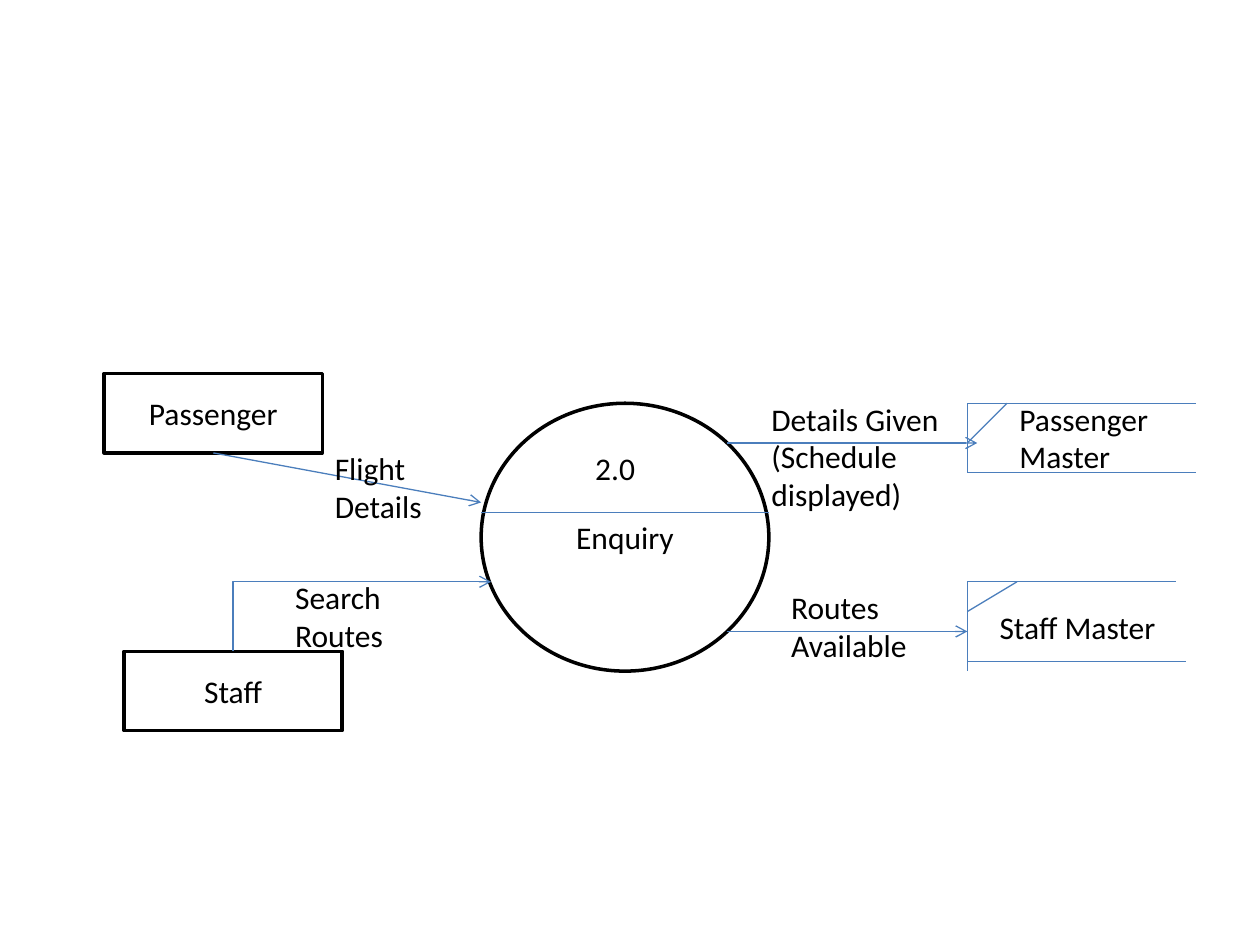
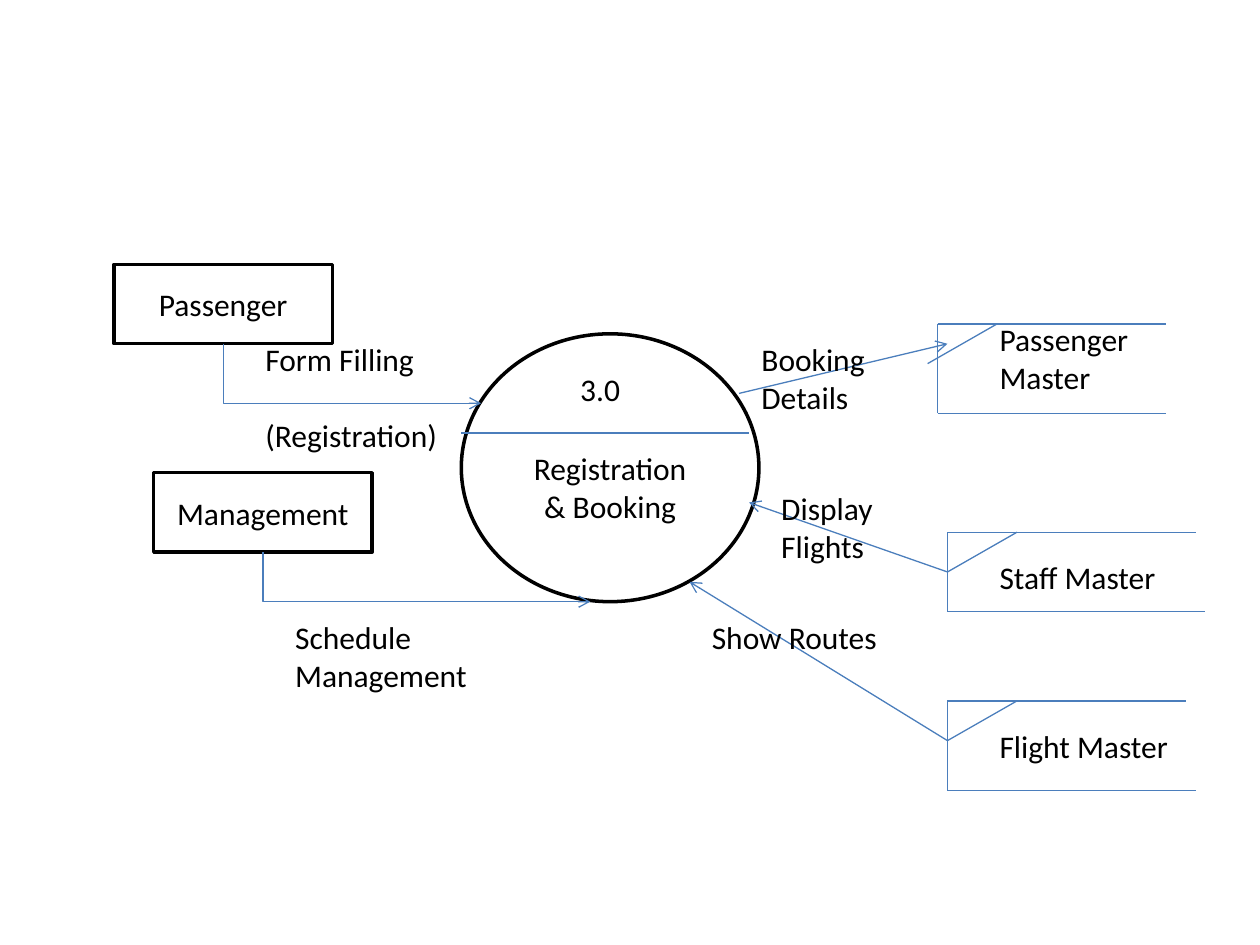
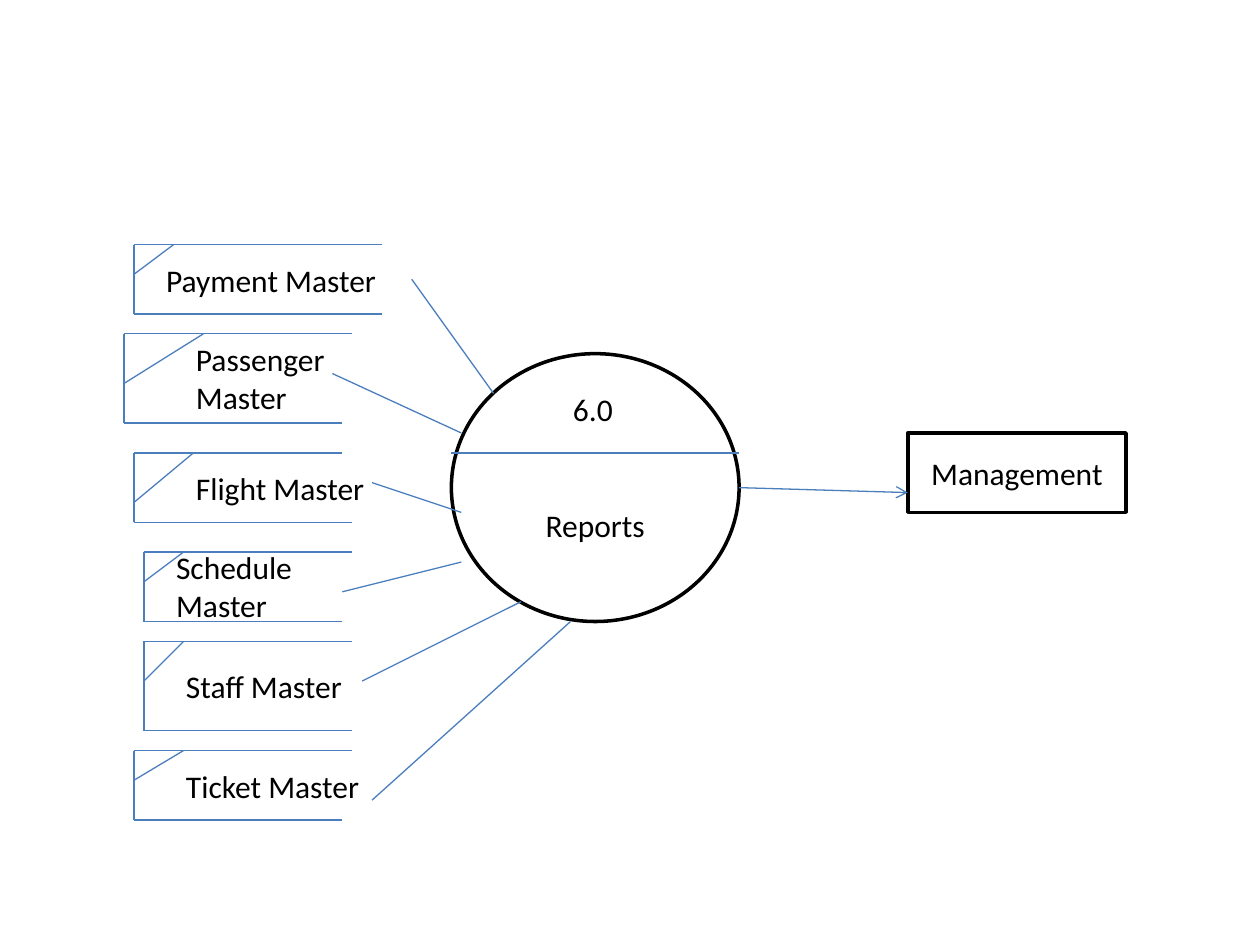
import pptx
import pptx.util
import pptx.dml.color
import pptx.enum.shapes
import pptx.enum.text
import pptx.oxml.ns
from lxml import etree

Cm, Pt = pptx.util.Cm, pptx.util.Pt
Kind = pptx.enum.shapes.MSO_SHAPE
Wire = pptx.enum.shapes.MSO_CONNECTOR
Align = pptx.enum.text.PP_ALIGN
qn = pptx.oxml.ns.qn

HUES = {"ink": "000000", "paper": "FFFFFF", "flow": "4B7EBC"}
FONT, SIZE, ROW, PAD = "Calibri", 18, 0.76, 0.13
SHIFT = 0.03
BOTTOM = 2


def hue(name):
    return pptx.dml.color.RGBColor.from_string(HUES[name])


def down(y):
    return Cm(y + SHIFT)


class Chart:
    def __init__(self):
        self.deck = pptx.Presentation()
        self.deck.slide_width, self.deck.slide_height = Cm(25.4), Cm(19.05)

    def page(self):
        self.items = self.deck.slides.add_slide(self.deck.slide_layouts[6]).shapes

    def fill_in(self, frame, lines, align, gap=0):
        frame.word_wrap = True
        for i, line in enumerate(lines):
            para = frame.paragraphs[0] if i == 0 else frame.add_paragraph()
            para.alignment = align
            if i and gap:
                para.space_before = Pt(gap)
            run = para.add_run()
            run.text = line
            run.font.name, run.font.size = FONT, Pt(SIZE)
            run.font.color.rgb = hue("ink")

    def block(self, kind, x, y, w, h, lines, drop=0):
        shape = self.items.add_shape(kind, Cm(x), down(y), Cm(w), Cm(h))
        shape.shadow.inherit = False
        shape.fill.solid()
        shape.fill.fore_color.rgb = hue("paper")
        shape.line.color.rgb = hue("ink")
        shape.line.width = Pt(2)
        shape.text_frame.vertical_anchor = pptx.enum.text.MSO_ANCHOR.MIDDLE
        shape.text_frame.margin_top = Cm(PAD + drop * ROW)
        self.fill_in(shape.text_frame, lines, Align.CENTER)
        return shape

    def actor(self, x, y, name):
        return self.block(Kind.RECTANGLE, x, y, 4.4, 1.6, [name])

    def process(self, x, y, w, lines, split, drop=0):
        self.block(Kind.OVAL, x, y, w, 5.4, lines, drop)
        self.line((x, split), (x + 5.8, split))

    def text(self, x, y, w, *lines, rows=1, align=Align.LEFT, gap=0):
        box = self.items.add_textbox(Cm(x), down(y), Cm(w), Cm(rows * ROW + 2 * PAD))
        self.fill_in(box.text_frame, lines, align, gap)

    def line(self, start, end, arrow=False, kind=Wire.STRAIGHT):
        wire = self.items.add_connector(
            kind, Cm(start[0]), down(start[1]), Cm(end[0]), down(end[1]))
        wire.line.color.rgb = hue("flow")
        wire.line.width = Pt(0.75)
        props = wire._element.spPr
        if arrow:
            etree.SubElement(props.find(qn("a:ln")), qn("a:tailEnd"), type="arrow")
        etree.SubElement(props, qn("a:effectLst"))
        return wire

    def bend(self, start, end):
        wire = self.line(start, end, True, Wire.ELBOW)
        props = wire._element.spPr
        props.find(qn("a:prstGeom")).set("prst", "bentConnector2")
        wide, high = wire.width, wire.height
        wire.left += (wide - high) // 2
        wire.top += (high - wide) // 2
        wire.width, wire.height = high, wide
        rises = end[1] < start[1]
        frame = props.find(qn("a:xfrm"))
        frame.set("rot", str((90 if rises else 270) * 60000))
        frame.set("flipH", "1")
        frame.set("flipV", "1" if rises else "0")

    def store(self, x, y, h, top, low, tick, label, rows=1, back=0, tail=0):
        self.line((x, y), (x, y + h + tail))
        self.line((x, y), (x + top, y))
        self.line((x, y + h), (x + low, y + h))
        self.line((x - back, y + tick[1]), (x + tick[0], y))
        self.text(*label, rows=rows)


def enquiry(c):
    c.page()
    c.process(9.7, 8.1, 5.8, ["Enquiry"], 10.3)
    c.text(11.3, 8.9, 2.2, "2.0", align=Align.CENTER)
    guest = c.actor(2.1, 7.5, "Passenger")
    c.actor(2.5, 13.1, "Staff")
    c.store(19.5, 11.7, 1.6, 4.2, 4.4, (1, 0.6), (19.9, 12.1, 4, "Staff Master"), tail=0.2)
    c.store(19.5, 8.1, 1.4, 4.6, 4.6, (0.8, 0.8), (20.3, 7.9, 4.4, "Passenger Master"), 2)
    c.bend((4.7, 13.1), (9.9, 11.7))
    c.line((4.3, 9.1), (9.7, 10.1), True).begin_connect(guest, BOTTOM)
    c.line((14.65, 8.9), (19.7, 8.9), True)
    c.line((14.65, 12.7), (19.5, 12.7), True)
    c.text(6.5, 8.9, 3, "Flight Details", rows=2)
    c.text(5.7, 11.5, 3.8, "Search Routes", rows=2)
    c.text(15.3, 7.9, 4.2, "Details Given", "(Schedule displayed)", rows=3)
    c.text(15.7, 11.7, 3.2, "Routes", "Available", rows=2)


def booking(c):
    c.page()
    c.process(9.3, 6.7, 6, ["Registration", "& Booking"], 8.7, drop=1)
    c.text(11.1, 7.3, 2, "3.0", align=Align.CENTER)
    c.actor(2.3, 5.3, "Passenger")
    c.actor(3.1, 9.5, "Management")
    c.store(18.9, 6.5, 1.8, 4.6, 4.6, (1.2, 0.8), (19.9, 6.3, 4.4, "Passenger Master"), 2, back=0.2)
    c.store(19.1, 10.7, 1.6, 5, 5.2, (1.4, 0.8), (19.9, 11.1, 4, "Staff Master"))
    c.store(19.1, 14.1, 1.8, 4.8, 5, (1.4, 0.8), (19.9, 14.5, 4.4, "Flight Master"))
    c.bend((5.3, 11.1), (11.9, 12.1))
    c.bend((4.5, 6.9), (9.7, 8.1))
    c.line((14.9, 7.9), (19.1, 6.9), True)
    c.line((19.1, 11.5), (15.1, 10.1), True)
    c.line((19.1, 14.9), (13.9, 11.7), True)
    c.text(5.7, 12.3, 5, "Schedule Management", rows=2)
    c.text(5.1, 6.7, 4.6, "Form Filling", "(Registration)", rows=3, gap=22)
    c.text(15.1, 6.7, 3.8, "Booking Details", rows=2)
    c.text(15.5, 9.7, 3.2, "Display Flights", rows=2)
    c.text(14.1, 12.3, 4.8, "Show Routes")


def reports(c):
    c.page()
    c.process(9.1, 7.1, 5.8, ["Reports"], 9.1, drop=2)
    c.text(11.3, 7.7, 1.4, "6.0")
    c.store(2.7, 4.9, 1.4, 5, 5, (0.8, 0.6), (3.1, 5.1, 5.2, "Payment Master"))
    c.store(2.5, 6.7, 1.8, 4.6, 4.4, (1.6, 1), (3.7, 6.7, 4.4, "Passenger Master"), 2)
    c.store(2.7, 9.1, 1.4, 4.2, 4.4, (1.2, 1), (3.7, 9.3, 4.4, "Flight Master"))
    c.store(2.9, 11.1, 1.4, 4.2, 4, (0.8, 0.6), (3.3, 10.9, 4.4, "Schedule Master"), 2)
    c.store(2.9, 12.9, 1.8, 4.2, 4.2, (0.8, 0.8), (3.5, 13.3, 4, "Staff Master"))
    c.store(2.7, 15.1, 1.4, 4.4, 4.2, (1, 0.6), (3.5, 15.3, 4.6, "Ticket Master"))
    c.actor(18.3, 8.7, "Management")
    c.line((14.9, 9.8), (18.3, 9.9), True)
    for start, end in [
        ((8.3, 5.6), (9.95, 7.9)),
        ((6.7, 7.5), (9.3, 8.7)),
        ((7.5, 9.7), (9.3, 10.3)),
        ((6.9, 11.9), (9.3, 11.3)),
        ((7.3, 13.7), (10.5, 12.1)),
        ((7.5, 16.1), (11.5, 12.5)),
    ]:
        c.line(start, end)


def main():
    chart = Chart()
    for draw in (enquiry, booking, reports):
        draw(chart)
    chart.deck.save("out.pptx")


if __name__ == "__main__":
    main()
